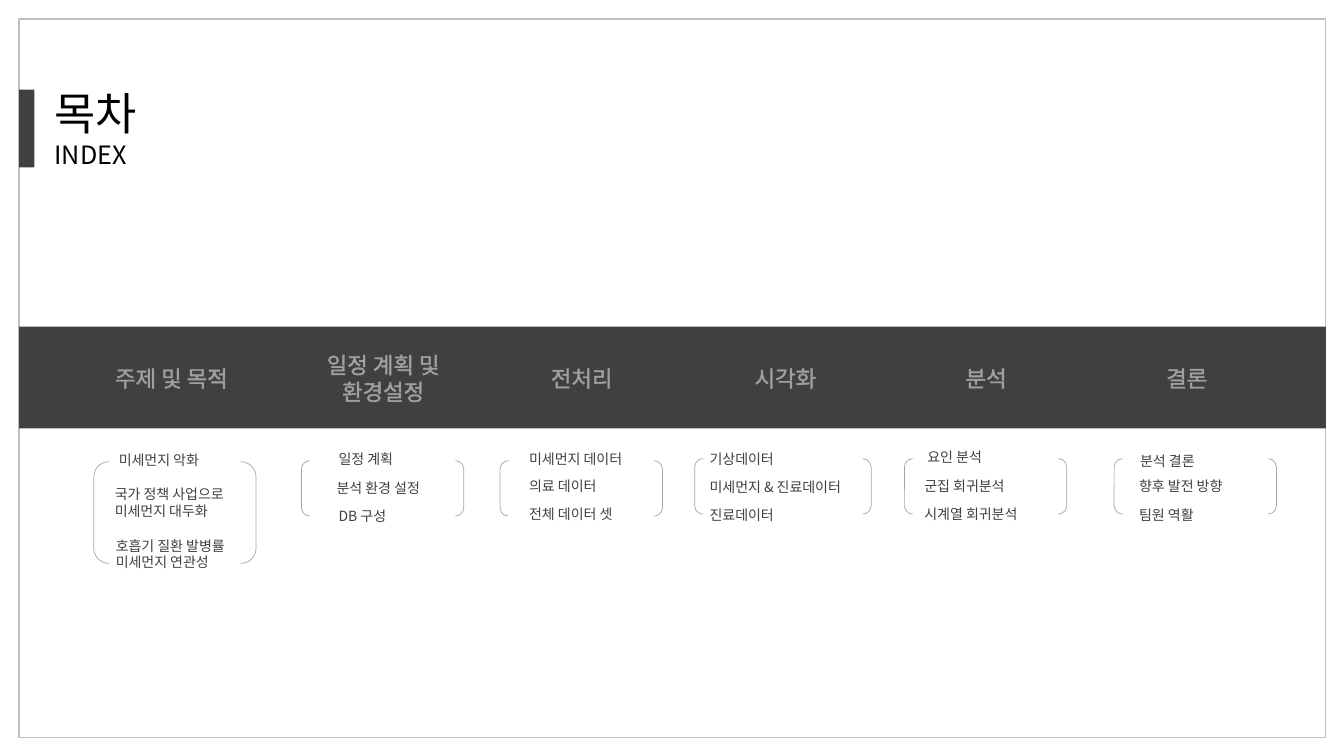
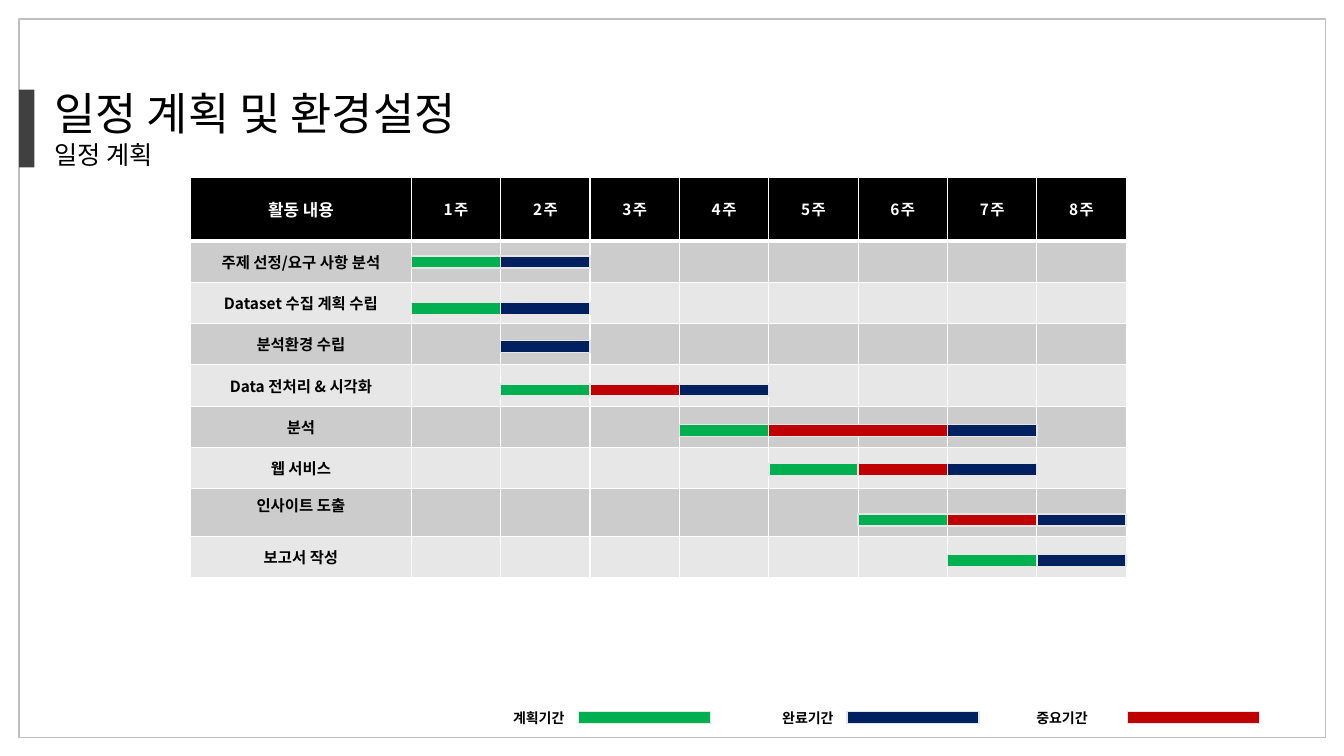
from pptx import Presentation
from pptx.dml.color import RGBColor
from pptx.enum.shapes import MSO_SHAPE
from pptx.enum.text import MSO_ANCHOR, PP_ALIGN
from pptx.oxml import parse_xml
from pptx.oxml.ns import nsdecls, qn
from pptx.util import Inches, Pt
from lxml.etree import SubElement

FONT = "Noto Sans CJK KR"
BLACK = RGBColor(0x00, 0x00, 0x00)
WHITE = RGBColor(0xFF, 0xFF, 0xFF)
CHARCOAL = RGBColor(0x40, 0x40, 0x40)
FRAME_GRAY = RGBColor(0xBF, 0xBF, 0xBF)
BRACKET_GRAY = RGBColor(0xA6, 0xA6, 0xA6)
BAR_EDGE = RGBColor(0xE7, 0xE6, 0xE6)
ROW_SHADES = (RGBColor(0xCC, 0xCC, 0xCC), RGBColor(0xE7, 0xE7, 0xE7))
PLANNED = RGBColor(0x00, 0xB0, 0x50)
DONE = RGBColor(0x00, 0x20, 0x60)
CRITICAL = RGBColor(0xC0, 0x00, 0x00)

FRAME_LEFT, FRAME_TOP, FRAME_WIDTH, FRAME_HEIGHT = 0.19, 0.19, 12.96, 7.13
TABLE_LEFT, TABLE_TOP, TABLE_WIDTH = 1.89, 1.76, 9.28
ACTIVITY_WIDTH, WEEKS = 2.19, 8
WEEK_WIDTH = (TABLE_WIDTH - ACTIVITY_WIDTH) / WEEKS
HEADER_HEIGHT, ROW_HEIGHT, TALL_ROW_HEIGHT = 0.63, 0.41, 0.47
TALL_ROW = 7
BAR_HEIGHT = 0.12

# heading, heading centre, bracket (left, top, width, height), items (left, top, text)
SECTIONS = [
    ("주제 및 목적", 1.70, (0.93, 4.58, 1.61, 1.01), [
        (1.08, 4.43, "미세먼지 악화"),
        (1.04, 4.77, "국가 정책 사업으로\n미세먼지 대두화"),
        (1.05, 5.28, "호흡기 질환 발병률\n미세먼지 연관성")]),
    ("일정 계획 및 환경설정", 3.80, (2.99, 4.57, 1.61, 0.55), [
        (3.26, 4.42, "일정 계획"),
        (3.24, 4.71, "분석 환경 설정"),
        (3.26, 4.99, "DB 구성")]),
    ("전처리", 5.77, (4.96, 4.57, 1.61, 0.55), [
        (5.15, 4.42, "미세먼지 데이터"),
        (5.15, 4.69, "의료 데이터"),
        (5.15, 4.97, "전체 데이터 셋")]),
    ("시각화", 7.79, (6.89, 4.55, 1.75, 0.55), [
        (6.94, 4.42, "기상데이터"),
        (6.94, 4.70, "미세먼지 & 진료데이터"),
        (6.94, 4.98, "진료데이터")]),
    ("분석", 9.78, (8.97, 4.55, 1.61, 0.55), [
        (9.10, 4.40, "요인 분석"),
        (9.07, 4.69, "군집 회귀분석"),
        (9.07, 4.97, "시계열 회귀분석")]),
    ("결론", 11.77, (11.05, 4.55, 1.61, 0.55), [
        (11.21, 4.44, "분석 결론"),
        (11.20, 4.69, "향후 발전 방향"),
        (11.20, 4.98, "팀원 역활")]),
]

# activity, top of its bars, bars (first week, number of weeks, kind)
SCHEDULE = [
    ("주제 선정/요구 사항 분석", 2.54, [(1, 1, PLANNED), (2, 1, DONE)]),
    ("Dataset 수집 계획 수립", 3.00, [(1, 1, PLANNED), (2, 1, DONE)]),
    ("분석환경 수립", 3.38, [(2, 1, DONE)]),
    ("Data 전처리 & 시각화", 3.81,
     [(2, 1, PLANNED), (3, 1, CRITICAL), (4, 1, DONE)]),
    ("분석", 4.21, [(4, 1, PLANNED), (5, 2, CRITICAL), (7, 1, DONE)]),
    ("웹 서비스", 4.60, [(5, 1, PLANNED), (6, 1, CRITICAL), (7, 1, DONE)]),
    ("인사이트 도출", 5.10, [(6, 1, PLANNED), (7, 1, CRITICAL), (8, 1, DONE)]),
    ("보고서 작성", 5.50, [(7, 1, PLANNED), (8, 1, DONE)]),
]

# label, label left, bar left, colour
LEGEND = [
    ("계획기간", 4.99, 5.74, PLANNED),
    ("완료기간", 7.66, 8.40, DONE),
    ("중요기간", 10.18, 11.18, CRITICAL),
]


def format_paragraph(paragraph, size, color, bold=False, align=PP_ALIGN.LEFT,
                     outline_alpha=None, spacing=None):
    """Format all runs; outline_alpha is the outline's opacity in percent."""
    paragraph.alignment = align
    for span in paragraph.runs:
        font = span.font
        font.size, font.bold, font.name = Pt(size), bold, FONT
        font.color.rgb = color
        properties = font._element
        SubElement(properties, qn("a:ea")).set("typeface", FONT)
        if spacing is not None:
            properties.set("spc", str(round(spacing * 100)))
        if outline_alpha is not None:
            properties.insert(0, parse_xml(
                f'<a:ln {nsdecls("a")} w="9525"><a:solidFill>'
                f'<a:srgbClr val="{color}"><a:alpha val="{outline_alpha * 1000}"/>'
                '</a:srgbClr></a:solidFill></a:ln>'))


def add_text(page, left, top, width, height, text, size, color, **style):
    box = page.shapes.add_textbox(
        Inches(left), Inches(top), Inches(width), Inches(height))
    frame = box.text_frame
    frame.word_wrap = True
    frame.text = text
    for paragraph in frame.paragraphs:
        format_paragraph(paragraph, size, color, **style)
    return box


def add_preset(page, kind, left, top, width, height,
               fill=None, line=None, line_width=1):
    shape = page.shapes.add_shape(
        kind, Inches(left), Inches(top), Inches(width), Inches(height))
    shape.shadow.inherit = False
    if fill is None:
        shape.fill.background()
    else:
        shape.fill.solid()
        shape.fill.fore_color.rgb = fill
    if line is None:
        shape.line.fill.background()
    else:
        shape.line.color.rgb = line
        shape.line.width = Pt(line_width)
    return shape


def add_page(deck, heading, subheading):
    """Add a slide with the shared frame, side mark and two-line title."""
    page = deck.slides.add_slide(deck.slide_layouts[5])
    add_preset(page, MSO_SHAPE.RECTANGLE, FRAME_LEFT, FRAME_TOP,
               FRAME_WIDTH, FRAME_HEIGHT, line=FRAME_GRAY)
    add_preset(page, MSO_SHAPE.RECTANGLE, FRAME_LEFT, 0.89, 0.15, 0.77, CHARCOAL)
    title = page.shapes.title
    title.left, title.top = Inches(0.44), Inches(0.8)
    title.width, title.height = Inches(5.31), Inches(0.98)
    frame = title.text_frame
    frame.text = f"{heading}\n{subheading}"
    frame.vertical_anchor = MSO_ANCHOR.TOP
    for paragraph, size in zip(frame.paragraphs, (32, 18)):
        format_paragraph(paragraph, size, BLACK, outline_alpha=50)
    return page


def add_section(page, heading, centre, bracket, items):
    width, height = 1.62, 0.64
    box = add_text(page, centre - width / 2, 3.43, width, height, heading, 16,
                   WHITE, align=PP_ALIGN.CENTER, outline_alpha=50)
    box.text_frame.vertical_anchor = MSO_ANCHOR.MIDDLE
    pair = add_preset(page, MSO_SHAPE.DOUBLE_BRACKET, *bracket,
                      line=BRACKET_GRAY, line_width=0.5)
    pair.adjustments[0] = 0.15
    for left, top, text in items:
        lines = text.count("\n") + 1
        add_text(page, left, top, 1.7, 0.1 + 0.17 * lines, text, 10, CHARCOAL,
                 outline_alpha=30)


def set_borders(cell, bottom_width):
    properties = cell._tc.get_or_add_tcPr()
    widths = {"lnL": 1, "lnR": 1, "lnT": 1, "lnB": bottom_width}
    for position, (side, width) in enumerate(widths.items()):
        properties.insert(position, parse_xml(
            f'<a:{side} {nsdecls("a")} w="{Pt(width)}"><a:solidFill>'
            f'<a:srgbClr val="{WHITE}"/></a:solidFill></a:{side}>'))


def fill_cell(cell, text, shade, color, size=11, spacing=0, bottom_width=1):
    cell.fill.solid()
    cell.fill.fore_color.rgb = shade
    cell.vertical_anchor = MSO_ANCHOR.MIDDLE
    cell.margin_left = cell.margin_right = Inches(0.13)
    cell.margin_top = cell.margin_bottom = Inches(0.05 if text else 0)
    cell.text = text
    format_paragraph(cell.text_frame.paragraphs[0], size, color, bold=True,
                     align=PP_ALIGN.CENTER, spacing=spacing)
    set_borders(cell, bottom_width)


def add_schedule_table(page):
    heights = [HEADER_HEIGHT] + [ROW_HEIGHT] * len(SCHEDULE)
    heights[TALL_ROW] = TALL_ROW_HEIGHT
    table = page.shapes.add_table(
        len(heights), WEEKS + 1, Inches(TABLE_LEFT), Inches(TABLE_TOP),
        Inches(TABLE_WIDTH), Inches(sum(heights))).table
    for row, height in zip(table.rows, heights):
        row.height = Inches(height)
    for number, column in enumerate(table.columns):
        column.width = Inches(WEEK_WIDTH if number else ACTIVITY_WIDTH)

    fill_cell(table.cell(0, 0), "활동 내용", BLACK, WHITE, size=12, bottom_width=3)
    for week in range(1, WEEKS + 1):
        fill_cell(table.cell(0, week), f"{week} 주", BLACK, WHITE,
                  spacing=-1.5, bottom_width=3)
    for row, (activity, _, _) in enumerate(SCHEDULE, start=1):
        for column in range(WEEKS + 1):
            fill_cell(table.cell(row, column), "" if column else activity,
                      ROW_SHADES[(row - 1) % 2], BLACK)
    table.cell(TALL_ROW, 0).vertical_anchor = MSO_ANCHOR.TOP


def add_bar(page, left, top, width, color):
    add_preset(page, MSO_SHAPE.RECTANGLE, left, top, width, BAR_HEIGHT,
               color, BAR_EDGE)


def build_index(deck):
    page = add_page(deck, "목차", "INDEX")
    add_preset(page, MSO_SHAPE.RECTANGLE, FRAME_LEFT, 3.24, FRAME_WIDTH, 1.01,
               CHARCOAL)
    for section in SECTIONS:
        add_section(page, *section)


def build_schedule(deck):
    page = add_page(deck, "일정 계획 및 환경설정", "일정 계획")
    add_schedule_table(page)
    first_week_left = TABLE_LEFT + ACTIVITY_WIDTH
    for _, top, bars in SCHEDULE:
        for week, span, color in bars:
            add_bar(page, first_week_left + (week - 1) * WEEK_WIDTH, top,
                    span * WEEK_WIDTH, color)
    for label, label_left, bar_left, color in LEGEND:
        add_text(page, label_left, 6.99, 1.15, 0.27, label, 10, BLACK, bold=True)
        add_bar(page, bar_left, 7.06, 1.31, color)


def main():
    deck = Presentation()
    deck.slide_width, deck.slide_height = Inches(13.33), Inches(7.5)
    build_index(deck)
    build_schedule(deck)
    deck.save("out.pptx")


if __name__ == "__main__":
    main()
